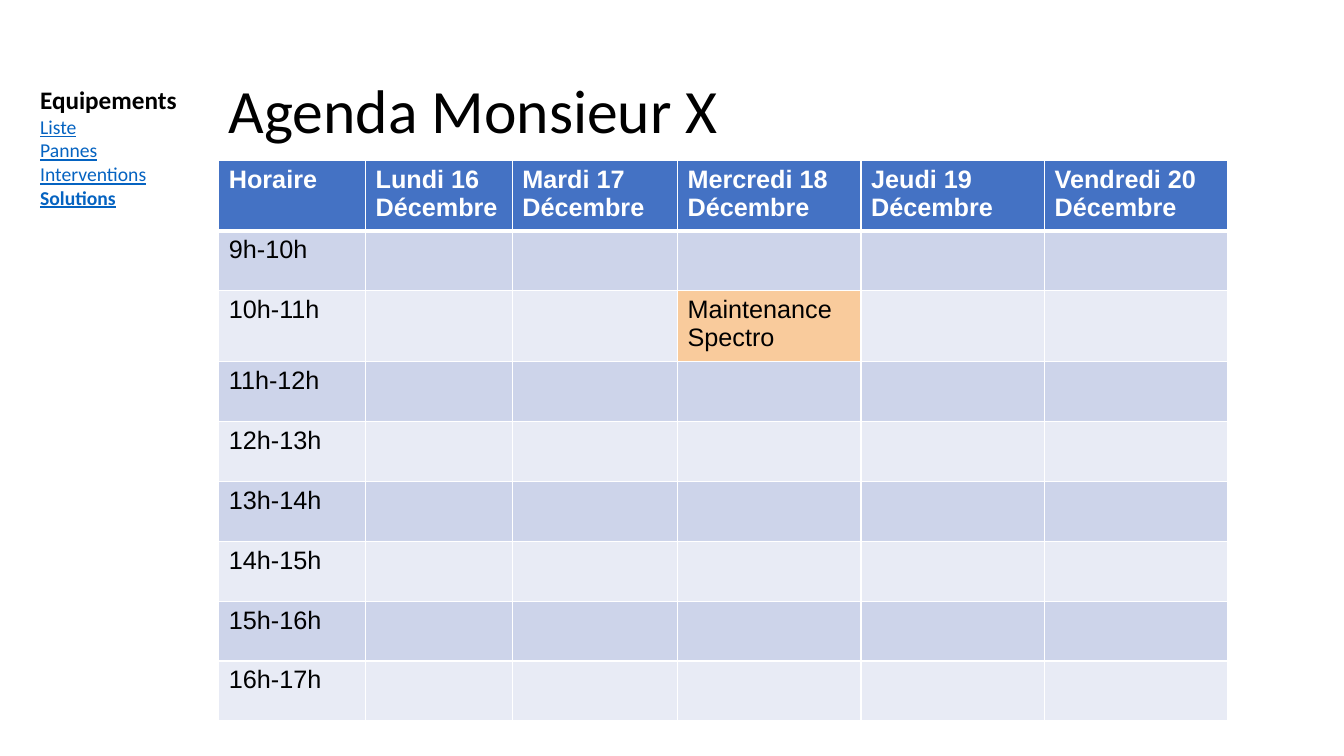
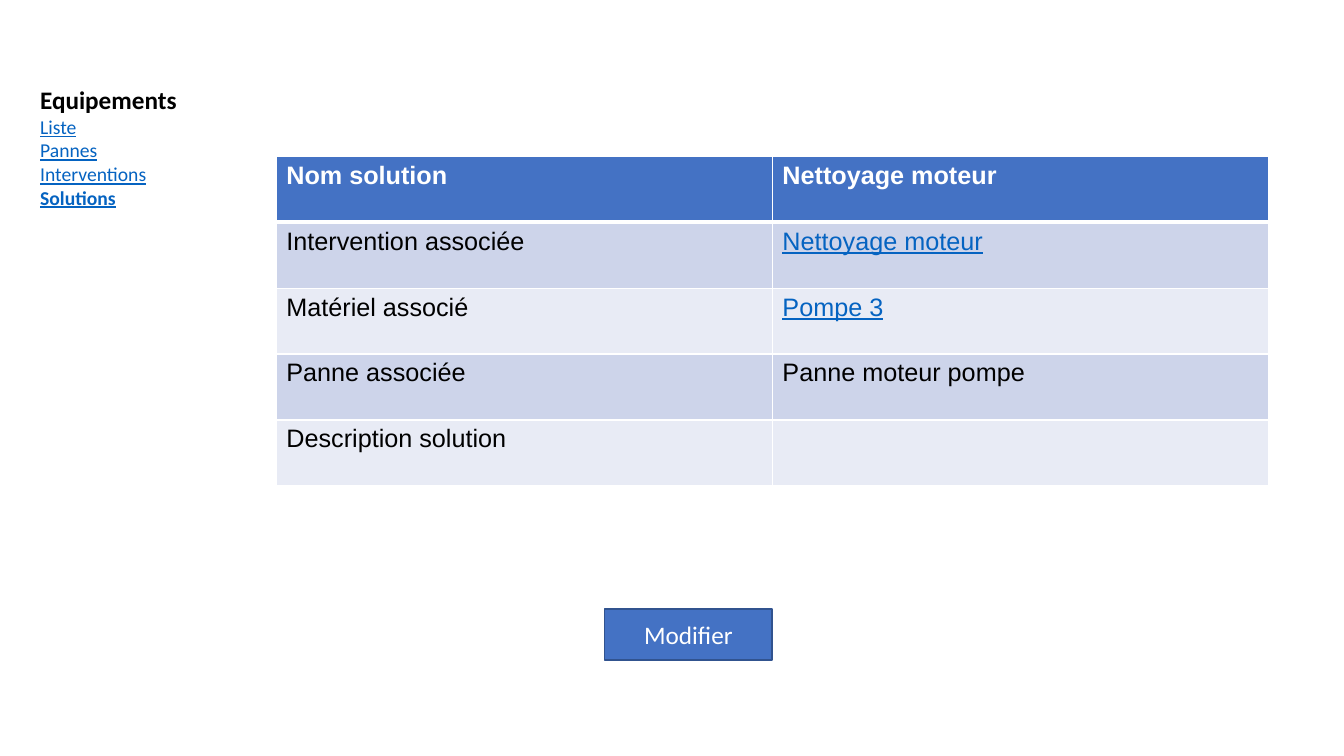
from pptx import Presentation
from pptx.dml.color import RGBColor
from pptx.enum.shapes import MSO_SHAPE
from pptx.enum.text import MSO_ANCHOR, PP_ALIGN
from pptx.oxml import parse_xml
from pptx.oxml.ns import nsdecls
from pptx.util import Inches, Pt

WIDE, HIGH = Inches(13.33), Inches(7.5)
BLACK = RGBColor(0x00, 0x00, 0x00)
WHITE = RGBColor(0xFF, 0xFF, 0xFF)
BLUE = RGBColor(0x44, 0x72, 0xC4)
NAVY = RGBColor(0x31, 0x53, 0x8F)
LINK = RGBColor(0x05, 0x63, 0xC1)
PEACH = RGBColor(0xF9, 0xCB, 0x9C)
BANDS = RGBColor(0xE8, 0xEB, 0xF5), RGBColor(0xCD, 0xD4, 0xEA)

TITLE = {"name": "Calibri", "size": Pt(44), "color": BLACK}
HEAD = {"name": "Calibri", "size": Pt(18), "color": BLACK, "bold": True}
ITEM = {"name": "Calibri", "size": Pt(14), "color": LINK, "underline": True}
LABEL = {"name": "Calibri", "size": Pt(18), "color": WHITE}
CELL = {"name": "Arial", "size": Pt(18), "color": BLACK, "bold": False}
TOP = {**CELL, "color": WHITE, "bold": True}
LINKED = {**CELL, "color": LINK, "underline": True}

MENU = [("Equipements", HEAD), ("Liste", ITEM), ("Pannes", ITEM),
        ("Interventions", ITEM), ("Solutions", {**ITEM, "bold": True})]
DAYS = ["Lundi 16", "Mardi 17", "Mercredi 18", "Jeudi 19", "Vendredi 20"]
AGENDA = [["Horaire"] + [f"{day} Décembre" for day in DAYS]]
AGENDA += [[f"{hour}h-{hour + 1}h"] + [""] * 5 for hour in range(9, 17)]
AGENDA[2][3] = "Maintenance Spectro"
DETAIL = [["Nom solution", "Nettoyage moteur"],
          ["Intervention associée", "Nettoyage moteur"],
          ["Matériel associé", "Pompe 3"],
          ["Panne associée", "Panne moteur pompe"],
          ["Description solution", ""]]


def place(box):
    """Turn a box on the 100 by 100 slide grid into lengths."""
    return [int(part * side / 100) for part, side in zip(box, (WIDE, HIGH) * 2)]


def write(para, text, style):
    """Add one run of text with its format values."""
    font = para.add_run().font
    para.runs[-1].text = text
    for name, value in style.items():
        if name == "color":
            font.color.rgb = value
        else:
            setattr(font, name, value)


def add_text(slide, box, lines, anchor=MSO_ANCHOR.TOP, space=1.0):
    """Add a wrapped text box with one paragraph for each line."""
    frame = slide.shapes.add_textbox(*place(box)).text_frame
    frame.word_wrap, frame.vertical_anchor = True, anchor
    for num, line in enumerate(lines):
        para = frame.add_paragraph() if num else frame.paragraphs[0]
        para.line_spacing = space
        write(para, *line)


def add_edge(cell, thick):
    """Draw white cell borders, with the sides in thick made heavy."""
    props = cell._tc.get_or_add_tcPr()
    for side in "LRTB":
        width = Pt(3 if side in thick else 1)
        props.append(parse_xml(
            f'<a:ln{side} {nsdecls("a")} w="{width}"><a:solidFill>'
            f'<a:srgbClr val="{WHITE}"/></a:solidFill></a:ln{side}>'))


def add_grid(slide, box, data, cols, rows, fills={}, styles={}):
    """Add a banded table, with columns and rows shared out by weight."""
    spot = place(box)
    table = slide.shapes.add_table(len(rows), len(cols), *spot).table
    for col, part in zip(table.columns, cols):
        col.width = int(spot[2] * part / sum(cols))
    for row, part in zip(table.rows, rows):
        row.height = int(spot[3] * part / sum(rows))
    for r, line in enumerate(data):
        for c, text in enumerate(line):
            cell = table.cell(r, c)
            add_edge(cell, {0: "B", 1: "T"}.get(r, ""))
            cell.fill.solid()
            cell.fill.fore_color.rgb = fills.get((r, c), BANDS[r % 2] if r else BLUE)
            if text:
                style = styles.get((r, c), CELL if r else TOP)
                write(cell.text_frame.paragraphs[0], text, style)


def add_button(slide, box, text):
    """Add a blue button with a centred label."""
    shape = slide.shapes.add_shape(MSO_SHAPE.RECTANGLE, *place(box))
    shape.shadow.inherit = False
    shape.fill.solid()
    shape.fill.fore_color.rgb = BLUE
    shape.line.color.rgb, shape.line.width = NAVY, Pt(1)
    shape.text_frame.vertical_anchor = MSO_ANCHOR.MIDDLE
    para = shape.text_frame.paragraphs[0]
    para.alignment = PP_ALIGN.CENTER
    write(para, text, LABEL)


def add_page(deck):
    """Add a blank slide with the side menu."""
    slide = deck.slides.add_slide(deck.slide_layouts[6])
    add_text(slide, (2.25, 10.53, 19.35, 24.27), MENU)
    return slide


def add_agenda(deck):
    """Add the slide with the week's agenda."""
    slide = add_page(deck)
    add_text(slide, (16.28, 5.33, 83.72, 19.33), [("Agenda Monsieur X", TITLE)],
             MSO_ANCHOR.MIDDLE, 0.9)
    add_grid(slide, (16.28, 21.2, 75.1, 74), AGENDA, (8, 8, 9, 10, 10, 10),
             (7, 6, 7) + (6,) * 6, fills={(2, 3): PEACH})


def add_detail(deck):
    """Add the slide with one solution's details."""
    slide = add_page(deck)
    add_grid(slide, (20.56, 20.67, 73.82, 43.6), DETAIL, (1, 1), (1,) * 5,
             styles={(1, 1): LINKED, (2, 1): LINKED})
    add_button(slide, (45, 80.53, 12.45, 6.8), "Modifier")


def main():
    """Build and save the deck."""
    deck = Presentation()
    deck.slide_width, deck.slide_height = WIDE, HIGH
    add_agenda(deck)
    add_detail(deck)
    deck.save("out.pptx")


if __name__ == "__main__":
    main()
